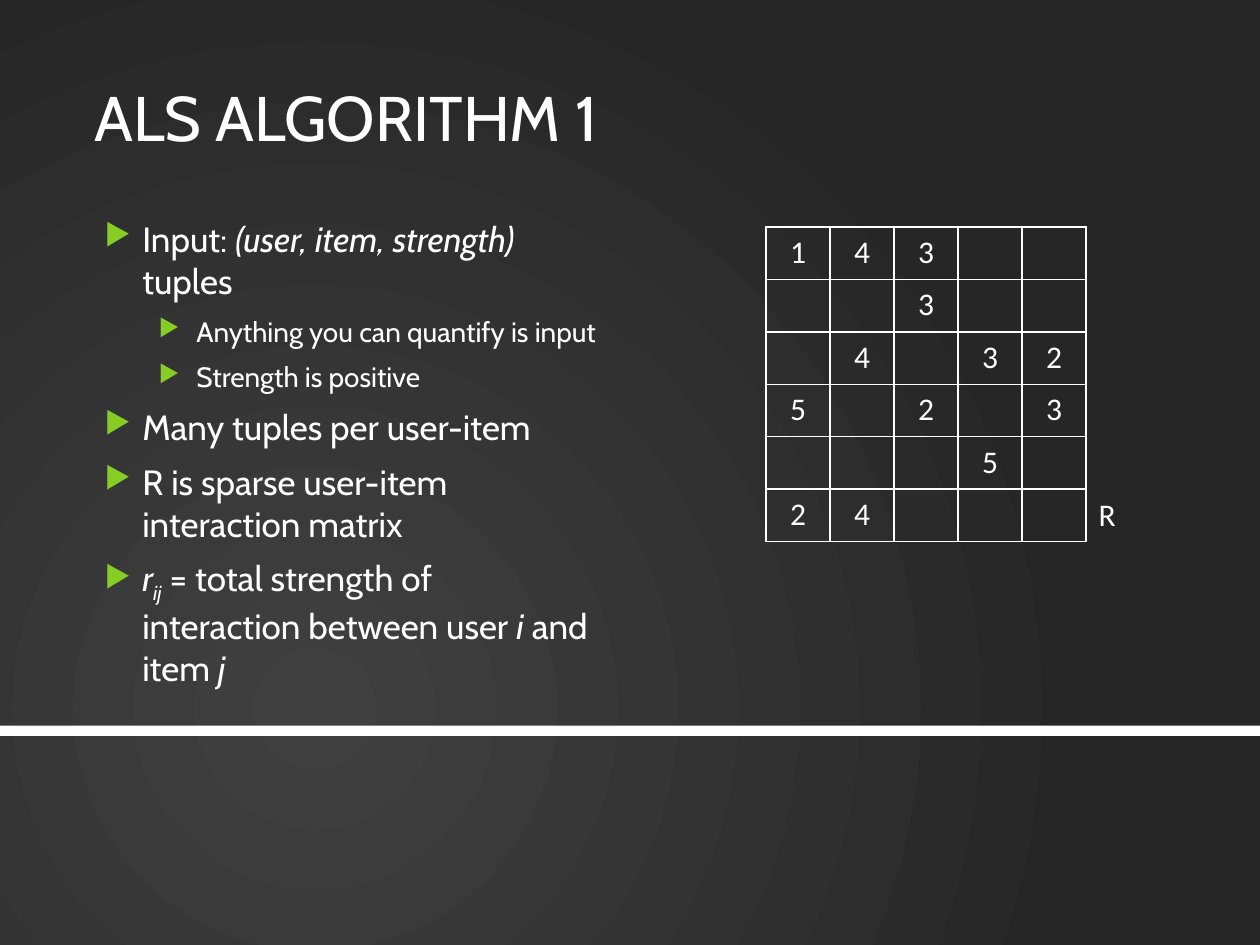
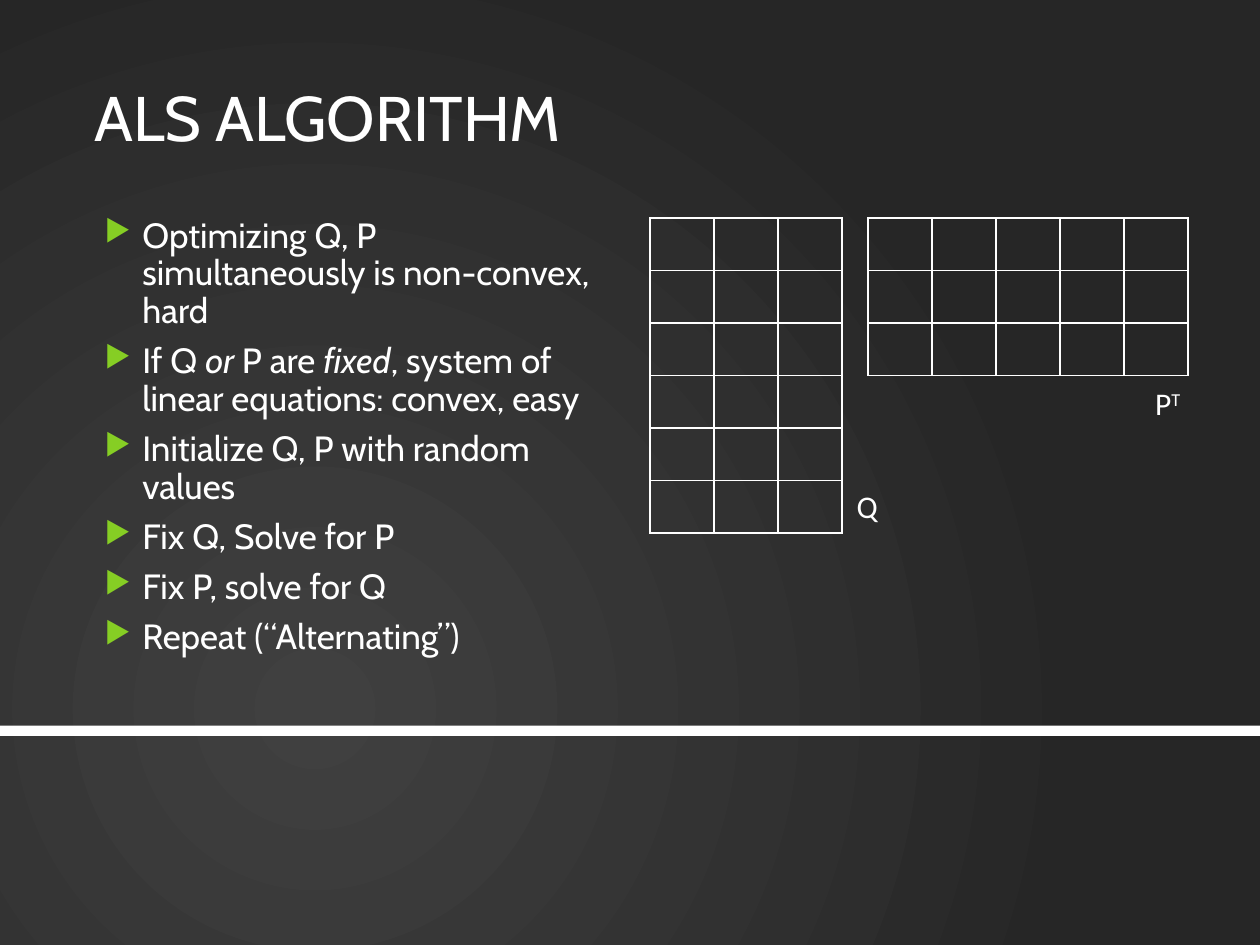
"""Two slides on the ALS matrix factorisation algorithm."""
from lxml import etree
from pptx import Presentation
from pptx.dml.color import RGBColor
from pptx.enum.shapes import MSO_SHAPE
from pptx.enum.text import MSO_ANCHOR, PP_ALIGN
from pptx.oxml.ns import qn
from pptx.util import Inches, Pt

WHITE = RGBColor(0xFF, 0xFF, 0xFF)
GREEN = RGBColor(0x86, 0xCE, 0x24)
GLOW = RGBColor(0x40, 0x40, 0x40)
EDGE = RGBColor(0x26, 0x26, 0x26)
RECTANGLE = MSO_SHAPE.RECTANGLE
TOP, MIDDLE = MSO_ANCHOR.TOP, MSO_ANCHOR.MIDDLE
CENTER = PP_ALIGN.CENTER
TEXT_FONT, MATRIX_FONT = "Cabin", "Calibri"
CELL_WIDTH, CELL_HEIGHT = 2.54 / 5, 2.5 / 6
ITALIC = {"italic": True}
SUBSCRIPT = {"italic": True, "baseline": -25}
SUPERSCRIPT = {"baseline": 30}


def add_xml(parent, tag, **attributes):
    element = etree.SubElement(parent, qn(tag))
    for name, value in attributes.items():
        element.set(name, str(value))
    return element


class Deck:
    def __init__(self):
        self.prs = Presentation()
        self.prs.slide_width, self.prs.slide_height = Inches(10), Inches(7.5)
        self.slide = None

    def start_slide(self, title):
        self.slide = self.prs.slides.add_slide(self.prs.slide_layouts[6])
        self.background()
        self.band()
        frame = self.text_frame(0.75, 0.3, 8.5, 1.25, MIDDLE)
        self.add_parts(frame.paragraphs[0], [title], 36)

    def background(self):
        fill = self.slide.background.fill
        fill.gradient()
        for stop, color in zip(fill.gradient_stops, (GLOW, EDGE)):
            stop.color.rgb = color
        gradient = next(self.slide.element.iter(qn("a:gradFill")))
        gradient.remove(gradient.find(qn("a:lin")))
        circle = add_xml(gradient, "a:path")
        circle.set("path", "circle")
        add_xml(circle, "a:fillToRect", l=50000, t=100000, r=100000, b=50000)

    def band(self):
        band = self.slide.shapes.add_shape(
            RECTANGLE, 0, Inches(5.76), Inches(10), Inches(0.08))
        band.shadow.inherit = False
        band.fill.solid()
        band.fill.fore_color.rgb = WHITE
        band.line.fill.background()

    def text_frame(self, left, top, width, height, anchor=TOP):
        frame = self.slide.shapes.add_textbox(
            Inches(left), Inches(top), Inches(width), Inches(height)).text_frame
        frame.word_wrap = True
        frame.vertical_anchor = anchor
        frame.margin_left = frame.margin_right = 0
        return frame

    def add_parts(self, paragraph, parts, size, font=TEXT_FONT):
        for part in parts:
            if part == "\n":
                paragraph.add_line_break()
                continue
            text, style = (part, {}) if isinstance(part, str) else part
            run = paragraph.add_run()
            run.text = text
            run.font.name, run.font.size = font, Pt(size)
            run.font.color.rgb = WHITE
            run.font.italic = style.get("italic")
            if "baseline" in style:
                run.font._element.set("baseline", str(style["baseline"] * 1000))

    def bullets(self, items, line_spacing=1.0):
        frame = self.text_frame(0.75, 1.68, 4, 4.24)
        for index, (level, *parts) in enumerate(items):
            paragraph = frame.add_paragraph() if index else frame.paragraphs[0]
            paragraph.level = level
            paragraph.space_before = Pt(7)
            paragraph.line_spacing = line_spacing
            properties = paragraph._p.get_or_add_pPr()
            properties.set("marL", str(Inches((0.38, 0.81)[level])))
            properties.set("indent", str(Inches(-0.3)))
            add_xml(add_xml(properties, "a:buClr"), "a:srgbClr", val=GREEN)
            add_xml(properties, "a:buSzPct", val=85000)
            add_xml(properties, "a:buChar", char="▶")
            self.add_parts(paragraph, parts, (20, 16)[level])

    def matrix(self, left, top, rows):
        count = len(rows[0])
        table = self.slide.shapes.add_table(
            len(rows), count, Inches(left), Inches(top),
            Inches(CELL_WIDTH * count), Inches(CELL_HEIGHT * len(rows))).table
        table.first_row = table.horz_banding = False
        for r, row in enumerate(rows):
            for c, value in enumerate(row):
                cell = table.cell(r, c)
                self.cell_border(cell)
                cell.fill.background()
                if value.strip():
                    paragraph = cell.text_frame.paragraphs[0]
                    paragraph.alignment = CENTER
                    self.add_parts(paragraph, [value], 18, MATRIX_FONT)

    def cell_border(self, cell):
        properties = cell._tc.get_or_add_tcPr()
        for side in "LRTB":
            line = add_xml(properties, f"a:ln{side}", w=Pt(1))
            add_xml(add_xml(line, "a:solidFill"), "a:srgbClr", val=WHITE)

    def matrix_label(self, left, top, width, *parts):
        frame = self.text_frame(left, top, width, 0.4)
        frame.word_wrap = False
        frame.margin_left = frame.margin_right = Inches(0.1)
        self.add_parts(frame.paragraphs[0], parts, 18, MATRIX_FONT)


def interaction_slide(deck):
    deck.start_slide("ALS ALGORITHM 1")
    deck.bullets([
        (0, "Input: ", ("(user, item, strength) ", ITALIC), "tuples"),
        (1, "Anything you can quantify is input"),
        (1, "Strength is positive"),
        (0, "Many tuples per user-item"),
        (0, "R is sparse user-item ", "\n", "interaction matrix"),
        (0, ("r", ITALIC), ("ij", SUBSCRIPT),
         " = total strength of interaction between user ", ("i", ITALIC),
         " and item ", ("j", ITALIC)),
    ])
    deck.matrix(6.08, 1.8, ["143  ", "  3  ", " 4 32", "5 2 3", "   5 ", "24   "])
    deck.matrix_label(8.62, 3.88, 0.35, "R")


def factor_slide(deck):
    deck.start_slide("ALS ALGORITHM")
    deck.bullets([
        (0, "Optimizing Q, P simultaneously is non-convex, hard"),
        (0, "If Q ", ("or ", ITALIC), "P are ", ("fixed", ITALIC),
         ", system of linear equations: convex, easy"),
        (0, "Initialize Q, P with random values"),
        (0, "Fix Q, Solve for P"),
        (0, "Fix P, solve for Q"),
        (0, "Repeat (“Alternating”)"),
    ], line_spacing=0.9)
    users, items, features = 6, 5, 3
    deck.matrix(5.16, 1.73, [" " * features] * users)
    deck.matrix(6.89, 1.73, [" " * items] * features)
    deck.matrix_label(9.07, 3, 0.43, "P", ("T", SUPERSCRIPT))
    deck.matrix_label(6.7, 3.82, 0.41, "Q")


def main():
    deck = Deck()
    interaction_slide(deck)
    factor_slide(deck)
    deck.prs.save("out.pptx")


if __name__ == "__main__":
    main()
